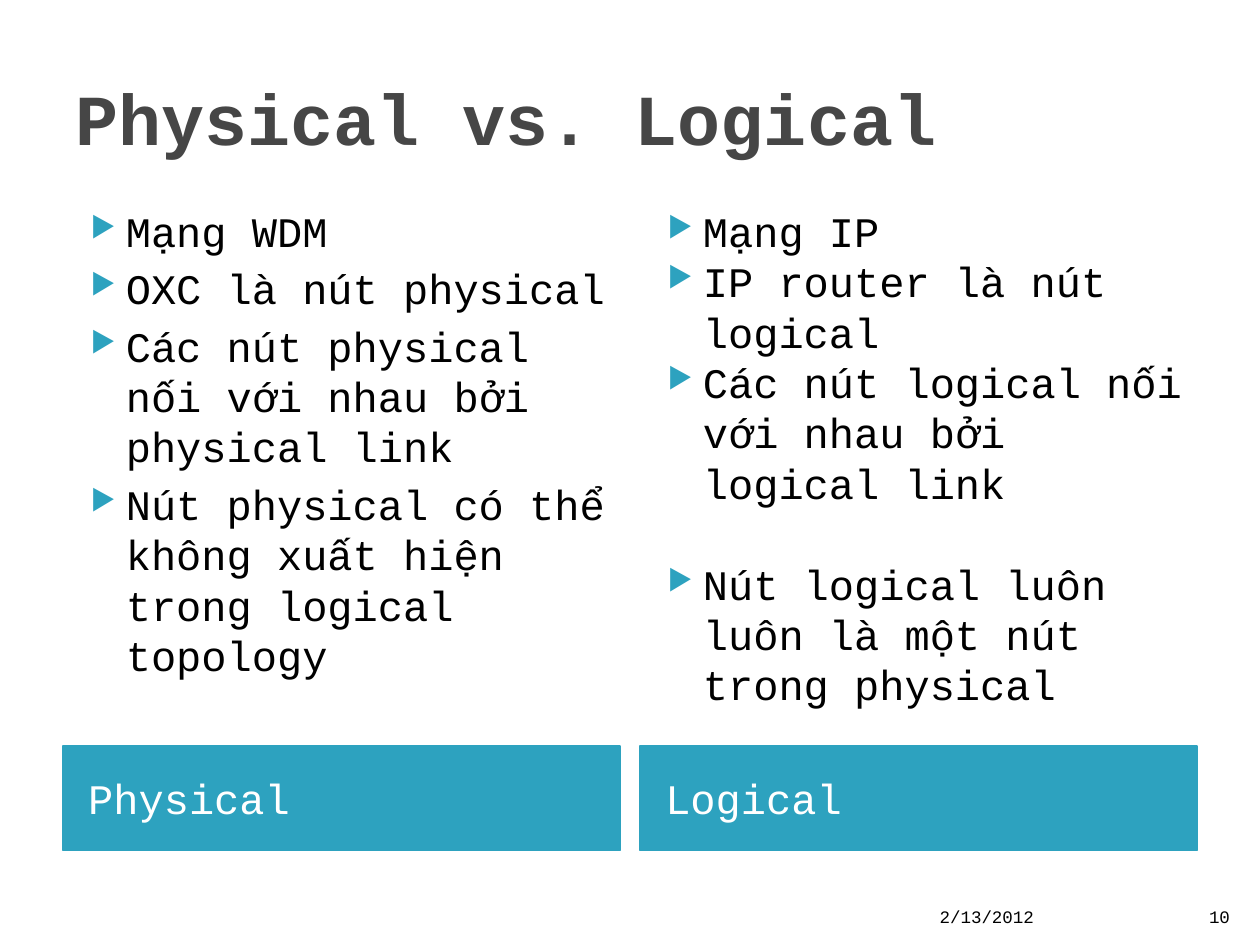
from pptx import Presentation
from pptx.dml.color import RGBColor
from pptx.enum.shapes import MSO_SHAPE
from pptx.enum.text import MSO_ANCHOR, PP_ALIGN
from pptx.util import Pt
from lxml import etree

COLORS = {"title": "464646", "accent": "2DA2BF", "text": "000000", "label": "FFFFFF"}
FONT = "Courier New"
A = "http://schemas.openxmlformats.org/drawingml/2006/main"

deck = Presentation()
deck.slide_width, deck.slide_height = Pt(720), Pt(540)
slide = deck.slides.add_slide(deck.slide_layouts[6])


def write(paragraph, text, size, color, bold=False):
    paragraph.text = text
    font = paragraph.font
    font.name, font.size, font.bold = FONT, Pt(size), bold
    font.color.rgb = RGBColor.from_string(COLORS[color])


def add_text(left, top, width, height, anchor):
    frame = slide.shapes.add_textbox(Pt(left), Pt(top), Pt(width), Pt(height)).text_frame
    frame.word_wrap = True
    frame.vertical_anchor = anchor
    return frame


# Title
title = add_text(36, 21.6, 648, 90, MSO_ANCHOR.MIDDLE)
write(title.paragraphs[0], "Physical vs. Logical", 41, "title", bold=True)

# Columns: label, left edge, bullets with the space before each
columns = [
    ("Physical", 36, [
        ("Mạng WDM", 4),
        ("OXC là nút physical", 4),
        ("Các nút physical nối với nhau bởi physical link", 4),
        ("Nút physical có thể không xuất hiện trong logical topology", 4),
    ]),
    ("Logical", 365.76, [
        ("Mạng IP", 0),
        ("IP router là nút logical", 0),
        ("Các nút logical nối với nhau bởi logical link", 0),
        ("Nút logical luôn luôn là một nút trong physical", 28.8),
    ]),
]
column_width = 318.24

for label, left, points in columns:
    # Label bar
    bar = slide.shapes.add_shape(
        MSO_SHAPE.RECTANGLE, Pt(left), Pt(426.24), Pt(column_width), Pt(59.76))
    bar.shadow.inherit = False
    bar.fill.solid()
    bar.fill.fore_color.rgb = RGBColor.from_string(COLORS["accent"])
    bar.line.color.rgb = RGBColor.from_string(COLORS["accent"])
    bar.line.width = Pt(0.76)
    bar.text_frame.margin_left = Pt(14.4)
    bar.text_frame.vertical_anchor = MSO_ANCHOR.MIDDLE
    heading = bar.text_frame.paragraphs[0]
    write(heading, label, 24, "label")
    heading.alignment = PP_ALIGN.LEFT
    heading.space_before = Pt(4)

    # Bullet list
    body = add_text(left, 113.76, column_width, 310.32, MSO_ANCHOR.TOP)
    for index, (text, gap) in enumerate(points):
        point = body.paragraphs[0] if index == 0 else body.add_paragraph()
        write(point, text, 24, "text")
        point.space_before = Pt(gap)
        properties = point._p.get_or_add_pPr()
        properties.set("marL", str(Pt(28.8)))
        properties.set("indent", str(-Pt(20.16)))
        bullet = etree.fromstring(
            f'<a:bullet xmlns:a="{A}">'
            f'<a:buClr><a:srgbClr val="{COLORS["accent"]}"/></a:buClr>'
            '<a:buSzPct val="68000"/><a:buChar char="▶"/></a:bullet>')
        run_defaults = properties.find(f"{{{A}}}defRPr")
        for part in list(bullet):
            run_defaults.addprevious(part)

# Footer: date and slide number
for text, left, width, alignment in [
    ("2/13/2012", 529.92, 151.2, PP_ALIGN.LEFT),
    ("10", 681.12, 28.8, PP_ALIGN.RIGHT),
]:
    footer = add_text(left, 504.72, width, 28.8, MSO_ANCHOR.BOTTOM).paragraphs[0]
    write(footer, text, 10, "text")
    footer.alignment = alignment

deck.save("out.pptx")
